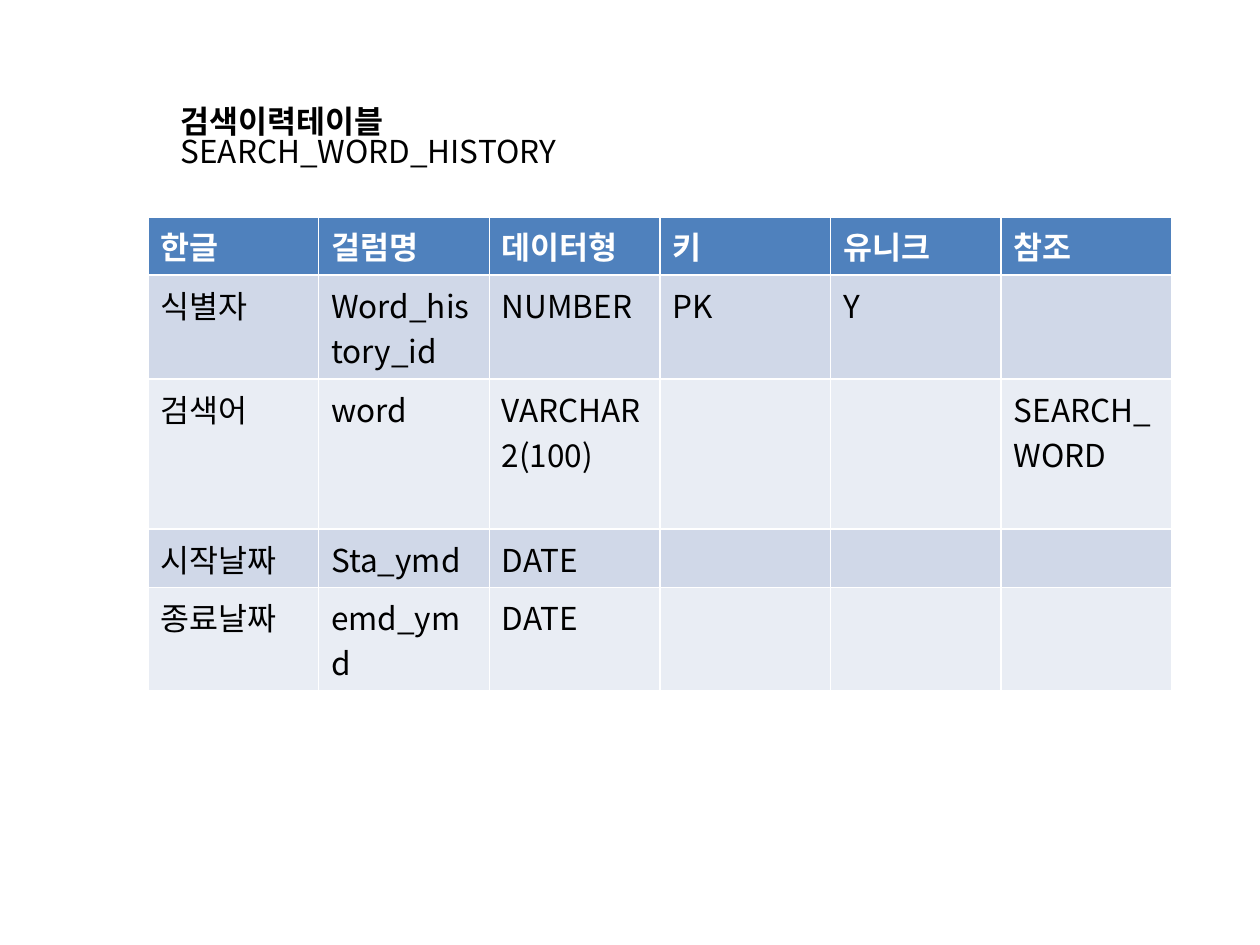
"""Build the search history table definition slide."""
from typing import NamedTuple

from pptx import Presentation
from pptx import util as u
from pptx.dml.color import RGBColor
from pptx.enum import text
from pptx.oxml.ns import qn
from lxml import etree

EMU_PER_PIXEL = 914400 / 126
FONT = "Noto Sans CJK KR"
COLORS = {
    "header": "4F81BD",
    "odd": "D0D8E8",
    "even": "E9EDF4",
    "white": "FFFFFF",
    "black": "000000",
}


class Row(NamedTuple):
    height: int
    fill: str
    cells: tuple[str, ...]


ROWS = (
    Row(57, "header", ("한글", "걸럼명", "데이터형", "키", "유니크", "참조")),
    Row(104, "odd", ("식별자", "Word_history_id", "NUMBER", "PK", "Y", "")),
    Row(150, "even", ("검색어", "word", "VARCHAR2(100)", "", "", "SEARCH_WORD")),
    Row(58, "odd", ("시작날짜", "Sta_ymd", "DATE", "", "", "")),
    Row(103, "even", ("종료날짜", "emd_ymd", "DATE", "", "", "")),
)
TABLE_LEFT, TABLE_TOP, TABLE_WIDTH = 148, 217, 1024


def px(pixels: float) -> u.Emu:
    return u.Emu(round(pixels * EMU_PER_PIXEL))


def rgb(name: str) -> RGBColor:
    return RGBColor.from_string(COLORS[name])


def add_run(paragraph, words: str, color: str, bold: bool) -> None:
    run = paragraph.add_run()
    run.text = words
    run.font.size = u.Pt(18)
    run.font.name = FONT
    run.font.bold = bold
    run.font.color.rgb = rgb(color)
    east_asian = etree.SubElement(run.font._element, qn("a:ea"))
    east_asian.set("typeface", FONT)


def add_heading(slide) -> None:
    heading = slide.shapes.title
    heading.left, heading.top = px(168), px(98)
    heading.width, heading.height = px(462), px(127)
    frame = heading.text_frame
    frame.word_wrap = True
    frame.auto_size = text.MSO_AUTO_SIZE.NONE
    frame.vertical_anchor = text.MSO_ANCHOR.TOP
    frame.margin_top = px(11)
    lines = (("검색이력테이블", True), ("SEARCH_WORD_HISTORY", False))
    for index, (words, bold) in enumerate(lines):
        paragraph = frame.add_paragraph() if index else frame.paragraphs[0]
        paragraph.alignment = text.PP_ALIGN.LEFT
        paragraph.line_spacing = 0.8
        add_run(paragraph, words, "black", bold)


def add_columns_table(slide) -> None:
    column_count = len(ROWS[0].cells)
    total_height = sum(row.height for row in ROWS)
    table = slide.shapes.add_table(
        len(ROWS), column_count,
        px(TABLE_LEFT), px(TABLE_TOP), px(TABLE_WIDTH), px(total_height),
    ).table
    for column in table.columns:
        column.width = px(TABLE_WIDTH / column_count)
    for row_index, row in enumerate(ROWS):
        table.rows[row_index].height = px(row.height)
        is_header = row.fill == "header"
        for column_index, words in enumerate(row.cells):
            cell = table.cell(row_index, column_index)
            cell.fill.solid()
            cell.fill.fore_color.rgb = rgb(row.fill)
            if words:
                color = "white" if is_header else "black"
                add_run(cell.text_frame.paragraphs[0], words, color, is_header)


def main() -> None:
    deck = Presentation()
    deck.slide_width, deck.slide_height = px(1260), px(945)
    slide = deck.slides.add_slide(deck.slide_layouts[5])
    add_columns_table(slide)
    add_heading(slide)
    deck.save("out.pptx")


main()
